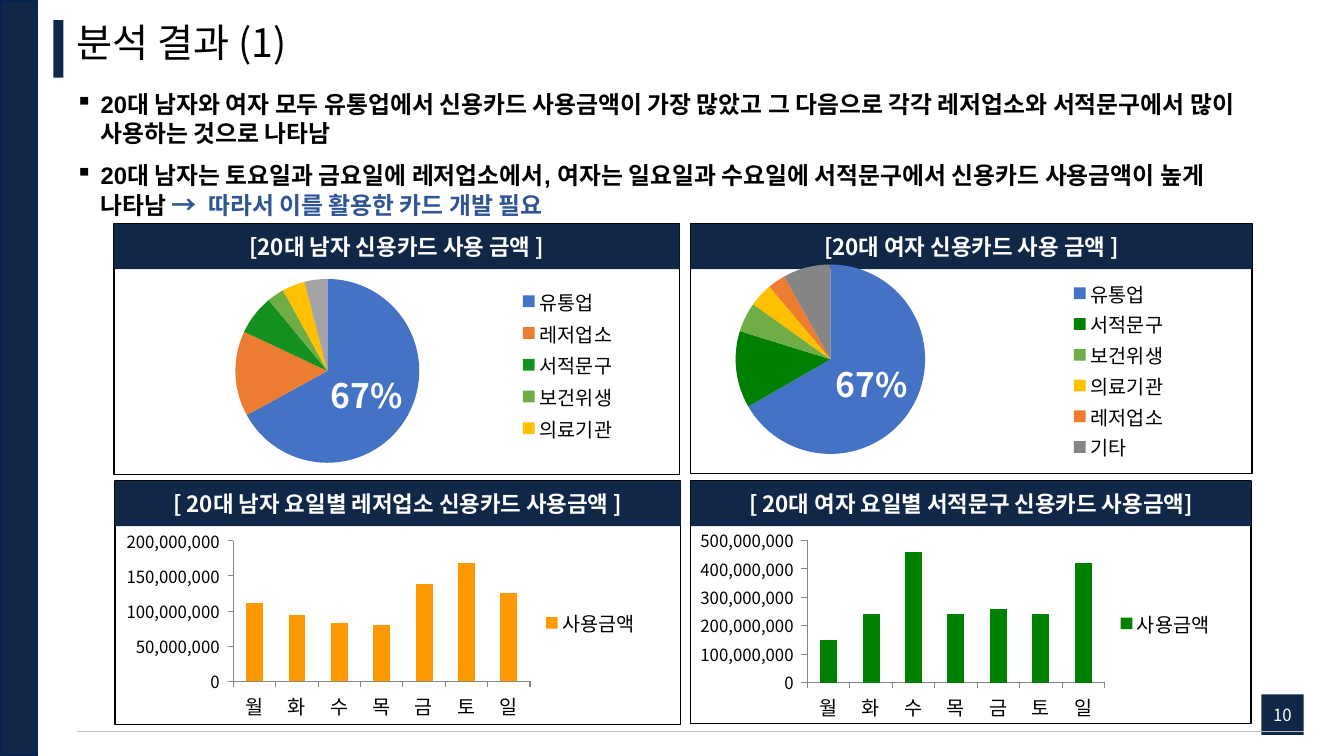
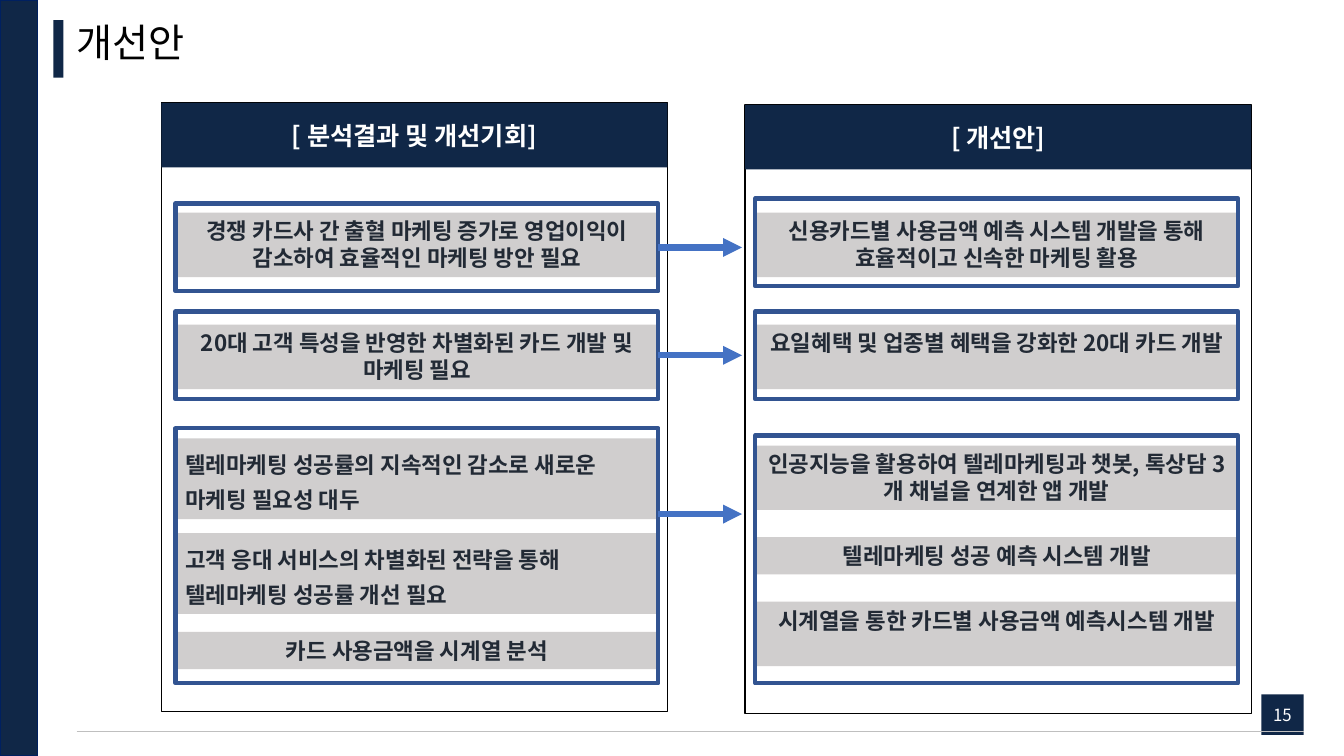
from dataclasses import dataclass

from lxml import etree
from pptx import Presentation
from pptx.chart.data import CategoryChartData
from pptx.dml.color import RGBColor
from pptx.enum.chart import XL_CHART_TYPE, XL_LABEL_POSITION, XL_LEGEND_POSITION, XL_TICK_MARK
from pptx.enum.shapes import MSO_CONNECTOR, MSO_SHAPE
from pptx.enum.text import MSO_ANCHOR, PP_ALIGN
from pptx.oxml import parse_xml
from pptx.oxml.ns import nsdecls, qn
from pptx.util import Inches, Pt

RECT, STRAIGHT = MSO_SHAPE.RECTANGLE, MSO_CONNECTOR.STRAIGHT
LEFT, CENTER = PP_ALIGN.LEFT, PP_ALIGN.CENTER
TOP, MIDDLE = MSO_ANCHOR.TOP, MSO_ANCHOR.MIDDLE
PIE, COLUMN = XL_CHART_TYPE.PIE, XL_CHART_TYPE.COLUMN_STACKED
RIGHT_SIDE = 3


@dataclass(frozen=True)
class Theme:
    font: str = "Noto Sans CJK KR"
    body_font: str = "Arial"
    navy: str = "102747"
    navy_edge: str = "002060"
    black: str = "000000"
    white: str = "FFFFFF"
    rule: str = "BFBFBF"
    axis: str = "868686"
    emphasis: str = "2F5597"
    frame: str = "325491"
    arrow: str = "4472C4"
    bar: str = "D0CECE"
    bar_text: str = "222A35"
    title_size: int = 28
    percent_size: int = 24
    heading_size: int = 18
    body_size: int = 17
    text_size: int = 16
    legend_size: int = 14
    small_size: int = 12


T = Theme()
WIDTH, HEIGHT = 13.33, 7.5

# ---- Content: analysis results ----
FINDINGS = [
    [("20대 남자와 여자 모두 유통업에서 신용카드 사용금액이 가장 많았고 그 다음으로 각각 "
      "레저업소와 서적문구에서 많이 사용하는 것으로 나타남", T.black, T.body_size)],
    [("20대 남자는 토요일과 금요일에 레저업소에서, 여자는 일요일과 수요일에 서적문구에서 "
      "신용카드 사용금액이 높게 나타남 ", T.black, T.body_size),
     ("→ ", T.emphasis, T.heading_size),
     (" 따라서 이를 활용한 카드 개발 필요", T.emphasis, T.body_size)],
]
RESULT_PANELS = [  # heading, box
    ("[20대 남자 신용카드 사용 금액 ]", (1.13, 2.22, 5.61, 2.49)),
    ("[20대 여자 신용카드 사용 금액 ]", (6.85, 2.22, 5.57, 2.48)),
    ("[ 20대 남자 요일별 레저업소 신용카드 사용금액 ]", (1.14, 4.77, 5.61, 2.42)),
    ("[ 20대 여자 요일별 서적문구 신용카드 사용금액]", (6.85, 4.77, 5.56, 2.41)),
]
# Plot and legend areas are shares of the chart: left, top, width, height
SHARES = [
    dict(box=(1.18, 2.6, 5.3, 2.4), plot=(0.21, 0.07, 0.36, 0.76),
         legend=(0.74, 0.09, 0.2, 0.67), unlisted=[5],
         slices=[("유통업", 67, "4472C4"), ("레저업소", 15, "ED7D31"), ("서적문구", 7, "149020"),
                 ("보건위생", 3, "70AD47"), ("의료기관", 4, "FFC000"), ("기타", 4, "A5A5A5")]),
    dict(box=(6.15, 2.48, 5.96, 2.41), plot=(0.19, 0.06, 0.32, 0.78),
         legend=(0.74, 0.11, 0.18, 0.77), unlisted=[],
         slices=[("유통업", 66, "4472C4"), ("서적문구", 13, "008000"), ("보건위생", 5, "70AD47"),
                 ("의료기관", 4, "FFC000"), ("레저업소", 3, "ED7D31"), ("기타", 8, "858585")]),
]
DAYS = "월화수목금토일"
MILLION = 1_000_000
DAILY_PLOT = (0.22, 0.085, 0.555, 0.71)
DAILY = [  # box, colour, top of axis, axis step, millions per day
    ((1.15, 5.2, 5.3, 1.96), "FF9900", 200, 50, (111, 94, 83, 80, 139, 169, 126)),
    ((6.84, 5.19, 5.31, 1.99), "008000", 500, 100, (150, 240, 460, 240, 260, 240, 420)),
]

# ---- Content: improvement plan ----
PLAN_PANELS = [
    ("[ 분석결과 및 개선기회]", (1.6, 1.02, 5.02, 6.04)),
    ("[ 개선안]", (7.39, 1.04, 5.02, 6.04)),
]
PLAN_COLUMNS = [  # left, bars as (top, height, text, alignment)
    (1.74, [
        (2.11, 0.64, "경쟁 카드사 간 출혈 마케팅 증가로 영업이익이 감소하여 효율적인 마케팅 방안 필요", CENTER),
        (3.22, 0.64, "20대 고객 특성을 반영한 차별화된 카드 개발 및 마케팅 필요", CENTER),
        (4.35, 0.8, "텔레마케팅 성공률의 지속적인 감소로 새로운 마케팅 필요성 대두", LEFT),
        (5.29, 0.8, "고객 응대 서비스의 차별화된 전략을 통해 텔레마케팅 성공률 개선 필요", LEFT),
        (6.27, 0.37, "카드 사용금액을 시계열 분석", CENTER)]),
    (7.49, [
        (2.11, 0.64, "신용카드별 사용금액 예측 시스템 개발을 통해 효율적이고 신속한 마케팅 활용", CENTER),
        (3.22, 0.64, "요일혜택 및 업종별 혜택을 강화한 20대 카드 개발", CENTER),
        (4.42, 0.64, "인공지능을 활용하여 텔레마케팅과 챗봇, 톡상담 3개 채널을 연계한 앱 개발", CENTER),
        (5.33, 0.37, "텔레마케팅 성공 예측 시스템 개발", CENTER),
        (5.97, 0.64, "시계열을 통한 카드별 사용금액 예측시스템 개발", CENTER)]),
]
BAR_WIDTH = 4.79
FRAME_ROWS = [  # (top, height) in the left and right column, height of the arrow
    ((2.02, 0.87), (1.97, 0.87), None),
    ((3.09, 0.87), (3.09, 0.87), None),
    ((4.25, 2.53), (4.32, 2.46), 5.1),
]
ARROW_END = 7.36


def rgb(code):
    return RGBColor.from_string(code)


def inches(values):
    return [Inches(value) for value in values]


def style_font(font, size, color, bold=False, name=T.font):
    """Set a font, with the same Korean face for East Asian letters."""
    font.size, font.bold, font.name = Pt(size), bold, name
    font.color.rgb = rgb(color)
    east_asian = etree.Element(qn("a:ea"), typeface=T.font)
    font._rPr.find(qn("a:latin")).addnext(east_asian)


def add_box(slide, box, fill=None, line=None, line_width=1):
    shape = slide.shapes.add_shape(RECT, *inches(box))
    shape.shadow.inherit = False
    if fill:
        shape.fill.solid()
        shape.fill.fore_color.rgb = rgb(fill)
    else:
        shape.fill.background()
    if line:
        shape.line.color.rgb = rgb(line)
        shape.line.width = Pt(line_width)
    else:
        shape.line.fill.background()
    return shape


def write(shape, text, size, color, bold=False, align=CENTER, anchor=MIDDLE, spacing=None, name=T.font):
    frame = shape.text_frame
    frame.word_wrap, frame.vertical_anchor = True, anchor
    paragraph = frame.paragraphs[0]
    paragraph.text, paragraph.alignment = text, align
    if spacing:
        paragraph.line_spacing = spacing
    style_font(paragraph.font, size, color, bold, name)
    return frame


def add_line(slide, start, end, color, width, arrow=False):
    line = slide.shapes.add_connector(STRAIGHT, *inches(start + end))
    line.line.color.rgb, line.line.width = rgb(color), Pt(width)
    if arrow:
        etree.SubElement(line.line._get_or_add_ln(), qn("a:tailEnd"), type="triangle")
    etree.SubElement(line._element.spPr, qn("a:effectLst"))
    return line


def add_page(deck, title, number):
    """Add a slide with the side band, title, page number and footer rule."""
    slide = deck.slides.add_slide(deck.slide_layouts[6])
    add_box(slide, (0, 0, 0.37, HEIGHT), T.navy, T.navy_edge)
    add_box(slide, (0.53, 0.2, 0.1, 0.57), T.navy)
    heading = slide.shapes.add_textbox(*inches((0.76, 0.06, 12.31, 0.77)))
    frame = write(heading, title, T.title_size, T.black, align=LEFT, spacing=0.9)
    frame.margin_left = frame.margin_right = frame.margin_top = frame.margin_bottom = 0
    write(add_box(slide, (12.51, 6.89, 0.42, 0.4), T.navy), number, T.small_size, T.white)
    add_line(slide, (0.76, 7.26), (12.93, 7.26), T.rule, 0.5)
    return slide


def add_panel(slide, heading, box, header_height, size):
    add_box(slide, box, T.white, T.black)
    header = add_box(slide, (*box[:3], header_height), T.navy)
    write(header, heading, size, T.white, bold=True)


def add_findings(slide):
    frame = slide.shapes.add_textbox(*inches((0.65, 0.84, 12.06, 1.15))).text_frame
    frame.word_wrap = True
    for index, runs in enumerate(FINDINGS):
        paragraph = frame.add_paragraph() if index else frame.paragraphs[0]
        paragraph.space_before = Pt(10)
        properties = paragraph._p.get_or_add_pPr()
        properties.set("marL", str(Inches(0.25)))
        properties.set("indent", str(-Inches(0.25)))
        etree.SubElement(properties, qn("a:buChar"), char="▪")
        for text, color, size in runs:
            run = paragraph.add_run()
            run.text = text
            style_font(run.font, size, color, True, T.body_font)


def set_layout(parent, area, inner=False):
    """Place a plot area or legend by shares of the chart."""
    target = '<c:layoutTarget val="inner"/>' if inner else ""
    modes = "".join(f'<c:{axis}Mode val="edge"/>' for axis in "xy")
    sizes = "".join(f'<c:{key} val="{share}"/>' for key, share in zip("xywh", area))
    layout = parse_xml(f'<c:layout {nsdecls("c")}><c:manualLayout>{target}{modes}{sizes}'
                       '</c:manualLayout></c:layout>')
    for old in parent.findall(qn("c:layout")):
        parent.remove(old)
    if inner:
        parent.insert(0, layout)
    else:
        parent.find(qn("c:legendPos")).addnext(layout)


def add_chart(slide, kind, box, categories, name, values, plot_area):
    data = CategoryChartData()
    data.categories = categories
    data.add_series(name, values)
    chart = slide.shapes.add_chart(kind, *inches(box), data).chart
    chart.has_title = False
    style_font(chart.font, T.small_size, T.black)
    chart._chartSpace.find(qn("c:txPr")).addprevious(parse_xml(
        f'<c:spPr {nsdecls("c", "a")}><a:noFill/><a:ln><a:noFill/></a:ln></c:spPr>'))
    chart.has_legend = True
    chart.legend.position = XL_LEGEND_POSITION.RIGHT
    chart.legend.include_in_layout = False
    style_font(chart.legend.font, T.legend_size, T.black)
    set_layout(chart._chartSpace.chart.plotArea, plot_area, inner=True)
    return chart


def add_share_pie(slide, box, plot, legend, unlisted, slices):
    names, values, colors = zip(*slices)
    chart = add_chart(slide, PIE, box, names, "Series 1", values, plot)
    chart.plots[0].vary_by_categories = True
    series = chart.plots[0].series[0]
    labels = series.data_labels
    labels.show_percentage, labels.show_value = True, False
    labels.position = XL_LABEL_POSITION.CENTER
    style_font(labels.font, T.percent_size, T.white, True)
    for index, color in enumerate(colors):
        fill = series.points[index].format.fill
        fill.solid()
        fill.fore_color.rgb = rgb(color)
        if index:  # only the largest share is labelled
            labels._element.insert(index - 1, parse_xml(
                f'<c:dLbl {nsdecls("c")}><c:idx val="{index}"/><c:delete val="1"/></c:dLbl>'))
    set_layout(chart.legend._element, legend)
    for index in unlisted:
        chart.legend._element.find(qn("c:legendPos")).addnext(parse_xml(
            f'<c:legendEntry {nsdecls("c")}><c:idx val="{index}"/><c:delete val="1"/></c:legendEntry>'))


def add_daily_columns(slide, box, color, top, step, millions):
    amounts = [amount * MILLION for amount in millions]
    chart = add_chart(slide, COLUMN, box, list(DAYS), "사용금액", amounts, DAILY_PLOT)
    plot = chart.plots[0]
    plot.gap_width, plot.overlap, plot.vary_by_categories = 150, 100, False
    fill = plot.series[0].format.fill
    fill.solid()
    fill.fore_color.rgb = rgb(color)
    days, amount_axis = chart.category_axis, chart.value_axis
    for axis, size in ((days, T.legend_size), (amount_axis, T.small_size)):
        axis.has_major_gridlines = False
        axis.major_tick_mark, axis.minor_tick_mark = XL_TICK_MARK.OUTSIDE, XL_TICK_MARK.NONE
        axis.format.line.color.rgb = rgb(T.axis)
        style_font(axis.tick_labels.font, size, T.black)
    amount_axis.minimum_scale, amount_axis.maximum_scale = 0, top * MILLION
    amount_axis.major_unit = step * MILLION
    amount_axis.tick_labels.number_format = r"#,##0_);\(#,##0\)"
    amount_axis.tick_labels.number_format_is_linked = False


def build_results(deck):
    slide = add_page(deck, "분석 결과 (1)", "10")
    add_findings(slide)
    for heading, box in RESULT_PANELS:
        add_panel(slide, heading, box, 0.45, T.text_size)
    for daily in DAILY:
        add_daily_columns(slide, *daily)
    for share in SHARES:
        add_share_pie(slide, **share)


def build_plan(deck):
    slide = add_page(deck, "개선안", "15")
    for heading, box in PLAN_PANELS:
        add_panel(slide, heading, box, 0.64, T.heading_size)
    for left, bars in PLAN_COLUMNS:
        for top, height, text, align in bars:
            bar = add_box(slide, (left, top, BAR_WIDTH, height), T.bar)
            loose = align == LEFT
            write(bar, text, T.text_size, T.bar_text, True, align, TOP,
                  1.3 if loose else None, T.body_font if loose else T.font)
    lefts = [left for left, _ in PLAN_COLUMNS]
    for *spans, arrow_y in FRAME_ROWS:
        finding, _ = [add_box(slide, (left, top, BAR_WIDTH, height), line=T.frame, line_width=3)
                      for left, (top, height) in zip(lefts, spans)]
        top, height = spans[0]
        y = arrow_y or top + height / 2
        arrow = add_line(slide, (lefts[0] + BAR_WIDTH, y), (ARROW_END, y), T.arrow, 4.5, arrow=True)
        if arrow_y is None:
            arrow.begin_connect(finding, RIGHT_SIDE)


def main():
    deck = Presentation()
    deck.slide_width, deck.slide_height = inches((WIDTH, HEIGHT))
    build_results(deck)
    build_plan(deck)
    deck.save("out.pptx")


if __name__ == "__main__":
    main()
